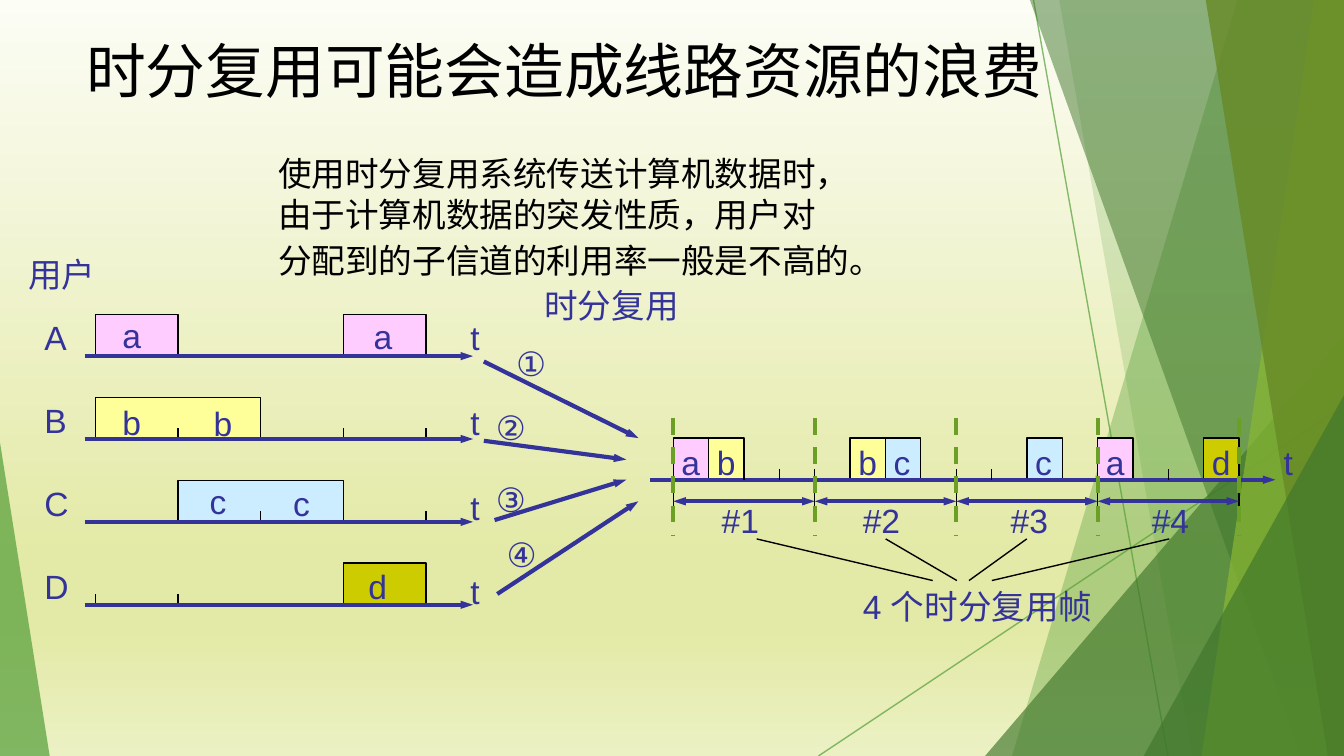
from copy import deepcopy

from lxml.etree import SubElement
from pptx import Presentation
from pptx.dml.color import RGBColor
from pptx.enum.dml import MSO_LINE
from pptx.enum.shapes import MSO_CONNECTOR, MSO_SHAPE
from pptx.enum.text import MSO_ANCHOR, MSO_AUTO_SIZE, PP_ALIGN
from pptx.oxml.ns import qn
from pptx.util import Inches, Pt

BLACK = RGBColor(0, 0, 0)
NAVY = RGBColor(0x33, 0x33, 0x99)
PINK = RGBColor(0xFF, 0xCC, 0xFF)
YELLOW = RGBColor(0xFF, 0xFF, 0x99)
SKY = RGBColor(0xCC, 0xEC, 0xFF)
OLIVE = RGBColor(0xCC, 0xCC, 0x00)
GREEN = RGBColor(0x54, 0x9E, 0x39)
FOREST = RGBColor(0x3F, 0x76, 0x2B)
LIME = RGBColor(0x8A, 0xB8, 0x33)
MOSS = RGBColor(0x67, 0x8A, 0x26)
DASH_GREEN = RGBColor(0x6B, 0x9F, 0x25)
BACKDROP = [(0, RGBColor(0xFC, 0xFD, 0xF5)), (0.74, RGBColor(0xE3, 0xE9, 0xA6)),
            (0.83, RGBColor(0xE3, 0xE9, 0xA6)), (1, RGBColor(0xEC, 0xF1, 0xC4))]
USER_COLORS = {"a": PINK, "b": YELLOW, "c": SKY, "d": OLIVE}
WIDTH = 10
HEIGHT = WIDTH * 9 / 16
USER_LEFT, USER_RIGHT = 0.71, 3.17
USER_SLOT = (USER_RIGHT - USER_LEFT) / 4
USER_TOP, USER_BOTTOM = 2.65, 4.5
LINK_LEFT, LINK_RIGHT, LINK_Y = 5.01, 9.22, 3.57
FRAME = (LINK_RIGHT - LINK_LEFT) / 4
LINK_SLOT = FRAME / 4
CELL_HEIGHT, TICK = 0.31, 0.08


def set_alpha(element, percent):
    for color in element.iter(qn("a:srgbClr")):
        SubElement(color, qn("a:alpha"), val=str(percent * 1000))


def add_line(page, start, end, color=BLACK, width=0.75, heads=()):
    line = page.shapes.add_connector(
        MSO_CONNECTOR.STRAIGHT, *map(Inches, (*start, *end)))
    line.line.color.rgb = color
    line.line.width = Pt(width)
    for head in heads:
        SubElement(line.line._get_or_add_ln(), qn(f"a:{head}"),
                   type="triangle", w="sm", len="med")
    SubElement(line._element.spPr, qn("a:effectLst"))
    return line


def add_arrow(page, start, end, heads=("tailEnd",)):
    return add_line(page, start, end, NAVY, 2.25, heads)


def add_outline(page, points, color, close):
    corners = [(Inches(x), Inches(y)) for x, y in points]
    builder = page.shapes.build_freeform(*corners[0])
    builder.add_line_segments(corners[1:], close=close)
    shape = builder.convert_to_shape()
    shape.shadow.inherit = False
    shape.fill.solid()
    shape.fill.fore_color.rgb = color
    return shape


def add_cell(page, left, base, width, color):
    top, right = base - CELL_HEIGHT, left + width
    points = [(left, base), (left, top), (right, top), (right, base)]
    cell = add_outline(page, points, color, False)
    cell.line.color.rgb = BLACK
    cell.line.width = Pt(0.75)


def add_band(page, top_x, bottom_x, color, alpha):
    points = [(top_x, -0.01), (WIDTH, -0.01), (WIDTH, HEIGHT), (bottom_x, HEIGHT)]
    band = add_outline(page, points, color, True)
    band.line.fill.background()
    set_alpha(band._element.spPr, alpha)


def add_triangle(page, left, top, width, apex, color, alpha):
    shape = page.shapes.add_shape(
        MSO_SHAPE.ISOSCELES_TRIANGLE,
        *map(Inches, (left, top, width, HEIGHT - top)))
    shape.adjustments[0] = apex
    shape.shadow.inherit = False
    shape.fill.solid()
    shape.fill.fore_color.rgb = color
    shape.line.fill.background()
    set_alpha(shape._element.spPr, alpha)


def add_span(para, text, size, font, color):
    span = para.add_run()
    span.text = text
    span.font.size = Pt(size)
    span.font.name = font
    span.font.color.rgb = color


def add_text(page, lines, left, top, width, height=0.39,
             font="Arial", color=NAVY, wrap=False):
    box = page.shapes.add_textbox(*map(Inches, (left, top, width, height)))
    frame = box.text_frame
    frame.word_wrap = wrap
    frame.margin_left = frame.margin_right = Inches(0.09)
    frame.margin_top = frame.margin_bottom = Inches(0.04)
    for index, line in enumerate(lines):
        para = frame.add_paragraph() if index else frame.paragraphs[0]
        add_span(para, line, 18, font, color)
    return box


def add_background(page):
    fill = page.background.fill
    fill.gradient()
    fill.gradient_angle = 270
    stops = next(page._element.iter(qn("a:gsLst")))
    for stop in list(stops):
        stops.append(deepcopy(stop))
    for stop, (position, color) in zip(fill.gradient_stops, BACKDROP):
        stop.position = position
        stop.color.rgb = color


def add_decoration(page):
    for start, end in [((7.69, 0), (8.69, HEIGHT)), ((10, 3.02), (6.09, HEIGHT))]:
        line = add_line(page, start, end, GREEN)
        set_alpha(line._element.spPr, 70)
    add_band(page, 9.21, 7.53, GREEN, 36)
    add_band(page, 7.88, 8.87, GREEN, 20)
    add_triangle(page, 7.33, 2.5, 2.67, 1, FOREST, 66)
    add_band(page, 7.66, 9.68, FOREST, 50)
    add_band(page, 9.78, 8.94, LIME, 70)
    add_band(page, 8.97, 9.88, MOSS, 80)
    add_triangle(page, 8.51, 2.94, 1.49, 1, FOREST, 66)
    add_triangle(page, 0, 3.29, 0.37, 0, GREEN, 70)


def add_title(page, text):
    title = page.shapes.title
    title.left, title.top, title.width, title.height = map(
        Inches, (0.54, 0.2, 7.61, 1.08))
    page.shapes._spTree.append(title._element)
    frame = title.text_frame
    frame.auto_size = MSO_AUTO_SIZE.NONE
    frame.vertical_anchor = MSO_ANCHOR.TOP
    para = frame.paragraphs[0]
    para.alignment = PP_ALIGN.LEFT
    add_span(para, text, 32, "Times New Roman", BLACK)


def add_user(page, row, name, cells, ticks, labels):
    base = USER_TOP + row * (USER_BOTTOM - USER_TOP) / 3
    letter = name.lower()
    for slot, count in cells:
        add_cell(page, USER_LEFT + slot * USER_SLOT, base,
                 count * USER_SLOT, USER_COLORS[letter])
    for slot in ticks:
        x = USER_LEFT + slot * USER_SLOT
        add_line(page, (x, base - TICK), (x, base))
    add_arrow(page, (0.63, base), (3.52, base))
    add_text(page, [name], 0.24, base - 0.33, 0.35)
    for left, top in labels:
        add_text(page, [letter], left, top, 0.32)
    add_text(page, ["t"], 3.41, 2.32 + 0.63 * row, 0.25)


def add_link(page):
    slots = [(0, "a"), (1, "b"), (5, "b"), (6, "c"), (10, "c"), (12, "a"), (15, "d")]
    for slot, letter in slots:
        left = LINK_LEFT + slot * LINK_SLOT
        add_cell(page, left, LINK_Y, LINK_SLOT, USER_COLORS[letter])
        add_text(page, [letter], left - 0.03, 3.25, 0.32)
    add_arrow(page, (4.84, LINK_Y), (9.49, LINK_Y))
    add_text(page, ["t"], 9.46, 3.25, 0.25)
    for slot in (2, 3, 4, 8, 9, 14):
        x = LINK_LEFT + slot * LINK_SLOT
        add_line(page, (x, LINK_Y - TICK), (x, LINK_Y))
    for index in range(5):
        x = LINK_LEFT + index * FRAME
        add_line(page, (x, 3.65), (x, 3.8))
        divider = add_line(page, (x, 3.11), (x, 3.99), DASH_GREEN, 2.25)
        divider.line.dash_style = MSO_LINE.DASH
    for index, left in enumerate((5.28, 6.33, 7.43, 8.48)):
        x = LINK_LEFT + index * FRAME
        add_arrow(page, (x, 3.73), (x + FRAME, 3.73), ("headEnd", "tailEnd"))
        add_text(page, [f"#{index + 1}"], left, 3.68, 0.46)
    for top_x, bottom_x in [(5.63, 6.94), (6.59, 7.12), (7.64, 7.21), (8.7, 7.38)]:
        add_line(page, (top_x, 4.01), (bottom_x, 4.32))
    add_text(page, ["4 个时分复用帧"], 6.33, 4.32, 1.91, wrap=True)


def main():
    deck = Presentation()
    deck.slide_width, deck.slide_height = Inches(WIDTH), Inches(HEIGHT)
    page = deck.slides.add_slide(deck.slide_layouts[5])
    add_background(page)
    add_decoration(page)
    add_title(page, "时分复用可能会造成线路资源的浪费")
    add_user(page, 0, "A", [(0, 1), (3, 1)], [], [(0.82, 2.3), (2.69, 2.31)])
    add_user(page, 1, "B", [(0, 2)], [1, 3, 4], [(0.82, 2.95), (1.5, 2.96)])
    add_user(page, 2, "C", [(1, 2)], [2, 4], [(1.47, 3.54), (2.09, 3.55)])
    add_user(page, 3, "D", [(3, 1)], [0, 1, 3], [(2.65, 4.17)])
    add_link(page)
    for start, end, mark, corner in [
            ((3.6, 2.69), (4.75, 3.26), "①", (3.75, 2.51)),
            ((3.6, 3.28), (4.66, 3.42), "②", (3.6, 2.99)),
            ((3.68, 3.87), (4.66, 3.57), "③", (3.6, 3.52)),
            ((3.7, 4.42), (4.75, 3.73), "④", (3.68, 3.93))]:
        add_arrow(page, start, end)
        add_text(page, [mark], *corner, 0.43)
    add_text(page, ["用户"], 0.12, 1.85, 0.69)
    add_text(page, ["时分复用"], 3.96, 2.08, 1.19)
    summary = add_text(page, ["使用时分复用系统传送计算机数据时，",
                              "由于计算机数据的突发性质，用户对",
                              "分配到的子信道的利用率一般是不高的。"],
                       1.98, 1.1, 4.87, 1.05, "Noto Sans CJK SC", BLACK, True)
    summary.text_frame.paragraphs[2].space_before = Pt(3)
    deck.save("out.pptx")


if __name__ == "__main__":
    main()
